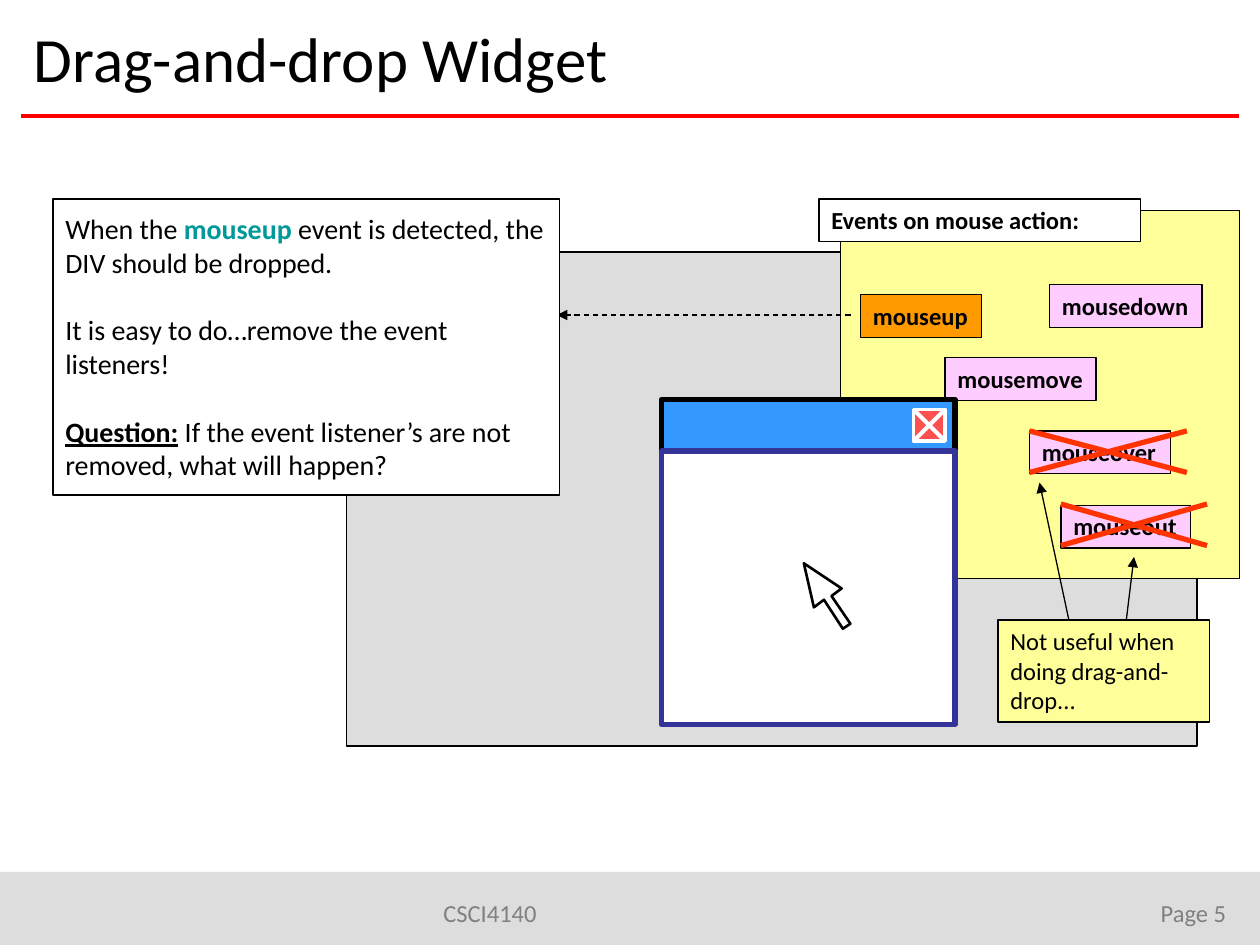
from dataclasses import dataclass

from lxml import etree
from pptx import Presentation
from pptx.dml.color import RGBColor
from pptx.enum.dml import MSO_LINE
from pptx.enum.shapes import MSO_CONNECTOR, MSO_SHAPE
from pptx.enum.text import MSO_ANCHOR, PP_ALIGN
from pptx.oxml.ns import qn
from pptx.util import Inches, Pt

RECT = MSO_SHAPE.RECTANGLE
STRAIGHT = MSO_CONNECTOR.STRAIGHT
DASH = MSO_LINE.DASH
TOP, MIDDLE = MSO_ANCHOR.TOP, MSO_ANCHOR.MIDDLE
LEFT, RIGHT = PP_ALIGN.LEFT, PP_ALIGN.RIGHT


@dataclass(frozen=True)
class Theme:
    font: str = "Calibri"
    title: float = 36
    body: float = 16
    label: float = 14
    gap: float = 19.5  # one body line
    thin: float = 0.75
    mid: float = 1.5
    rule: float = 2.25
    bold: float = 3
    black: str = "000000"
    white: str = "FFFFFF"
    gray: str = "DDDDDD"
    dim: str = "808080"
    red: str = "FF0000"
    cross: str = "FF3300"
    close: str = "FF5050"
    yellow: str = "FFFF99"
    pink: str = "FFCCFF"
    orange: str = "FF9900"
    blue: str = "3399FF"
    navy: str = "333399"
    teal: str = "009999"


class Painter:
    def __init__(self, slide, theme):
        self.slide = slide
        self.theme = theme
        self.shapes = slide.shapes

    def group(self):
        """Return a painter that draws into a new group."""
        inner = Painter(self.slide, self.theme)
        inner.shapes = self.shapes.add_group_shape().shapes
        return inner

    def style(self, shape, fill, line, width):
        shape.shadow.inherit = False
        shape.fill.solid()
        shape.fill.fore_color.rgb = RGBColor.from_string(fill)
        if line:
            shape.line.color.rgb = RGBColor.from_string(line)
            shape.line.width = Pt(width)
        else:
            shape.line.fill.background()

    def box(self, at, fill, line=Theme.black, width=Theme.thin):
        shape = self.shapes.add_shape(RECT, *map(Inches, at))
        self.style(shape, fill, line, width)
        return shape

    def letter(self, shape, paras, size, color=Theme.black, bold=None,
               align=LEFT, anchor=TOP, wrap=True, pad=0.05, gap=0):
        """Each paragraph is a list of (text, font settings) runs."""
        frame = shape.text_frame
        frame.word_wrap = wrap
        frame.vertical_anchor = anchor
        frame.margin_top = frame.margin_bottom = Inches(pad)
        for i, runs in enumerate(paras):
            para = frame.add_paragraph() if i else frame.paragraphs[0]
            para.alignment = align
            para.space_before = Pt(gap if i else 0)
            font = para.font
            font.name, font.size, font.bold = self.theme.font, Pt(size), bold
            font.color.rgb = RGBColor.from_string(color)
            for text, look in runs:
                run = para.add_run()
                run.text = text
                run.font.bold = look.get("bold")
                run.font.underline = look.get("under")
                if "color" in look:
                    run.font.color.rgb = RGBColor.from_string(look["color"])

    def text(self, at, words, size, **look):
        shape = self.shapes.add_textbox(*map(Inches, at))
        self.letter(shape, [[(words, {})]], size, **look)

    def label(self, at, words, fill, **look):
        self.letter(self.box(at, fill), [[(words, {})]],
                    self.theme.label, **look)

    def line(self, start, end, color=Theme.black, width=Theme.thin,
             dash=None, arrow=False):
        link = self.shapes.add_connector(
            STRAIGHT, *map(Inches, (*start, *end)))
        link.line.color.rgb = RGBColor.from_string(color)
        link.line.width = Pt(width)
        if dash:
            link.line.dash_style = dash
        props = link._element.spPr
        if arrow:
            tip = etree.SubElement(props.find(qn("a:ln")), qn("a:tailEnd"))
            tip.set("type", "triangle")
        etree.SubElement(props, qn("a:effectLst"))

    def cross(self, at, color, width):
        x, y, w, h = at
        self.line((x, y), (x + w, y + h), color, width)
        self.line((x, y + h), (x + w, y), color, width)

    def outline(self, points, fill, line, width):
        first, *rest = [(Inches(x), Inches(y)) for x, y in points]
        pen = self.shapes.build_freeform(*first)
        pen.add_line_segments(rest, close=True)
        self.style(pen.convert_to_shape(), fill, line, width)


def main():
    deck = Presentation()
    deck.slide_width, deck.slide_height = Inches(10), Inches(7.5)
    t = Theme()
    p = Painter(deck.slides.add_slide(deck.slide_layouts[6]), t)

    # Title and footer
    p.box((0, 6.92, 10, 0.58), t.gray, line=None)
    p.line((0.17, 0.92), (9.83, 0.92), t.red, t.rule)
    p.text((3.42, 7.08, 3.17, 0.25), "CSCI4140", t.label, color=t.dim)
    p.text((7.5, 7.08, 2.33, 0.25), "Page 5", t.label,
           color=t.dim, align=RIGHT)
    p.text((0.17, 0.08, 9.67, 0.75), "Drag-and-drop Widget", t.title,
           anchor=MIDDLE)

    # Page area and event panel
    p.box((2.75, 2, 6.75, 3.92), t.gray)
    p.box((6.67, 1.67, 3.17, 2.92), t.yellow)
    p.label((6.5, 1.58, 2.55, 0.34), "Events on mouse action:", t.white,
            bold=True)
    events = [
        ("mousedown", 8.33, 2.26, 1.21, t.pink),
        ("mouseup", 6.83, 2.34, 0.96, t.orange),
        ("mousemove", 7.5, 2.84, 1.2, t.pink),
        ("mouseout", 8.42, 4.01, 1.03, t.pink),
        ("mouseover", 8.17, 3.42, 1.12, t.pink),
    ]
    for name, x, y, wide, fill in events:
        p.label((x, y, wide, 0.34), name, fill, bold=True, wrap=False)

    # Explanation
    p.line((6.75, 2.5), (4.42, 2.5), dash=DASH, arrow=True)
    p.letter(p.box((0.42, 1.58, 4.02, 2.35), t.white), [
        [("When the ", {}),
         ("mouseup ", {"bold": True, "color": t.teal}),
         ("event is detected, the DIV should be dropped.", {})],
        [("It is easy to do…remove the event listeners!", {})],
        [("Question:", {"bold": True, "under": True}),
         (" If the event listener’s are not removed, what will happen?", {})],
    ], t.body, pad=0.1, gap=t.gap)

    # Dragged window
    win = p.group()
    win.box((5.25, 3.17, 2.33, 0.42), t.blue, width=t.bold)
    win.box((5.25, 3.58, 2.33, 2.17), t.white, t.navy, t.bold)
    close = (7.25, 3.25, 0.25, 0.25)
    win.box(close, t.close, t.white, t.rule)
    win.cross(close, t.white, t.rule)

    # Mouse pointer
    p.outline([(6.38, 4.47), (6.46, 4.82), (6.54, 4.76), (6.69, 4.99),
               (6.72, 4.97), (6.75, 4.95), (6.6, 4.73), (6.68, 4.67)],
              t.white, t.black, t.mid)

    # Events that are ruled out
    p.cross((8.17, 3.42, 1.25, 0.33), t.cross, t.bold)
    p.cross((8.42, 4, 1.16, 0.33), t.cross, t.bold)
    p.line((8.92, 5.08), (9, 4.42), arrow=True)
    p.line((8.5, 5), (8.25, 3.83), arrow=True)
    p.label((7.92, 4.92, 1.68, 0.81),
            "Not useful when doing drag-and-drop...", t.yellow)

    deck.save("out.pptx")


if __name__ == "__main__":
    main()
